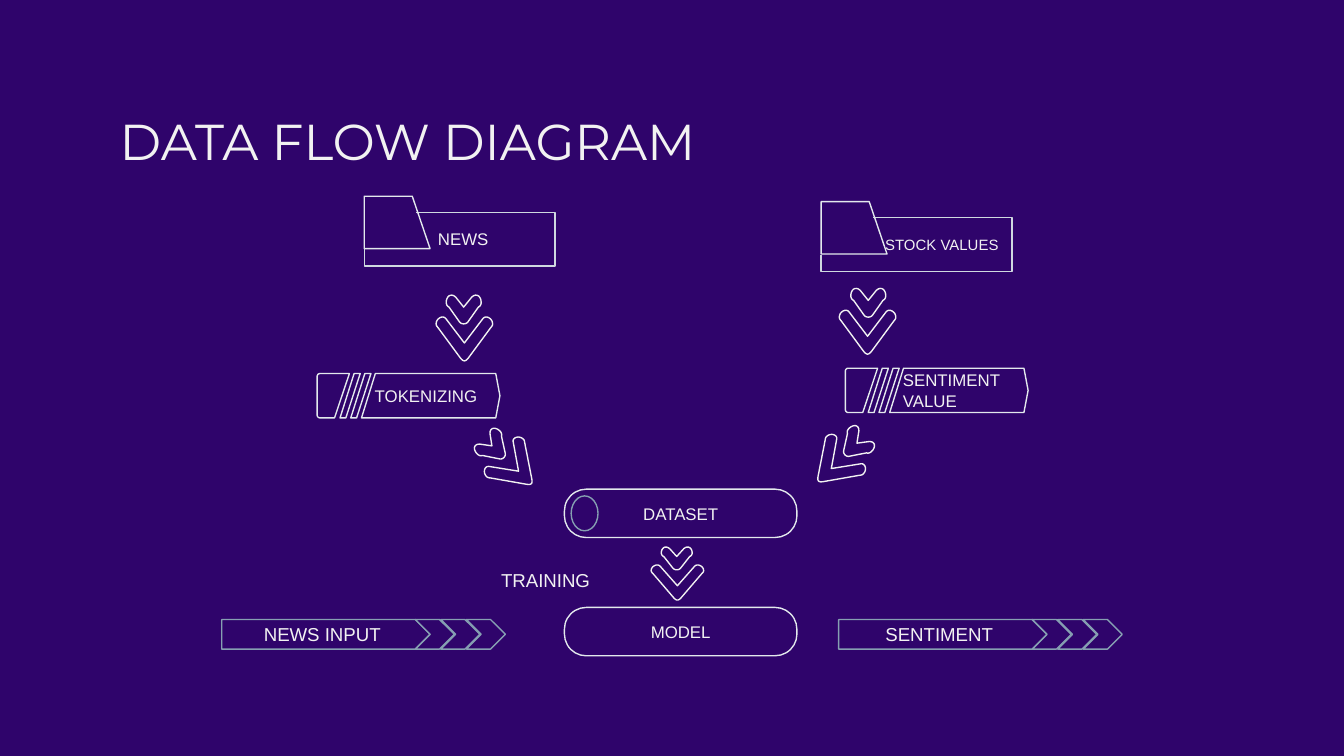
from pptx import Presentation
from pptx import util as u
from pptx.dml.color import RGBColor
from pptx.enum import shapes, text

THEME = {
    "background": "2F046B", "text": "F2F2F2", "arrow": "F2F2F2",
    "outline": "E3E9ED", "folder": "CFD9E0", "accent": "869FB2",
    "font": "Arial", "title_font": "Montserrat",
    "title": 27, "label": 9, "small": 8, "large": 10, "line": 0.75,
}
SHAPE = shapes.MSO_SHAPE
ALIGN = text.PP_ALIGN
ANCHOR = text.MSO_ANCHOR


def write(sp, words, size="label", font="font", align=ALIGN.CENTER,
          anchor=ANCHOR.MIDDLE, spacing=None, left=0.1):
    tf = sp.text_frame
    tf.word_wrap = True
    tf.auto_size = text.MSO_AUTO_SIZE.NONE
    tf.vertical_anchor = anchor
    tf.margin_left = u.Inches(left)
    tf.margin_right = tf.margin_top = tf.margin_bottom = u.Inches(0.1)
    p = tf.paragraphs[0]
    p.alignment = align
    p.line_spacing = spacing
    r = p.add_run()
    r.text = words
    r.font.size = u.Pt(THEME[size])
    r.font.name = THEME[font]
    r.font.color.rgb = RGBColor.from_string(THEME["text"])


def draw(geometry, box, line="outline", rotation=0, close=True):
    """Draw a preset, or a path of points and 6-number curves in a unit box."""
    left, top, width, height = (u.Inches(v) for v in box)
    if isinstance(geometry, list):
        points = [geometry[0]]
        for step in geometry[1:]:
            if len(step) == 2:
                points.append(step)
                continue
            knots = [points[-1], step[:2], step[2:4], step[4:]]
            for t in (i / 8 for i in range(1, 9)):
                weights = ((1 - t)**3, 3 * t * (1 - t)**2, 3 * t**2 * (1 - t), t**3)
                points.append(tuple(sum(w * k[axis] for w, k in zip(weights, knots))
                                    for axis in (0, 1)))
        corners = [(left + x * width, top + y * height) for x, y in points]
        builder = s.shapes.build_freeform(*corners[0])
        builder.add_line_segments(corners[1:], close=close)
        sp = builder.convert_to_shape()
        # Turn about the middle of the unit box, which the path may not fill
        if rotation == 90:
            shift = sp.left + sp.width // 2 - left - width // 2
            sp.left, sp.top = sp.left - shift, sp.top + shift
    else:
        sp = s.shapes.add_shape(geometry, left, top, width, height)
    sp.fill.background()
    sp.line.color.rgb = RGBColor.from_string(THEME[line])
    sp.line.width = u.Pt(THEME["line"])
    sp.shadow.inherit = False
    sp.rotation = rotation
    return sp


prs = Presentation()
prs.slide_width = u.Inches(10)
prs.slide_height = prs.slide_width * 9 // 16
s = prs.slides.add_slide(prs.slide_layouts[5])
s.background.fill.solid()
s.background.fill.fore_color.rgb = RGBColor.from_string(THEME["background"])

# Title
title = s.shapes.title
title.left, title.top = u.Inches(0.79), u.Inches(0.49)
title.width, title.height = u.Inches(8.43), u.Inches(0.63)
write(title, "DATA FLOW DIAGRAM", size="title", font="title_font",
      align=ALIGN.LEFT, anchor=ANCHOR.TOP, spacing=1.5)

# Rounded double arrows, outlined pointing right and then turned
arrow_paths = []
for end, arm_x, arm_y, inner, side_x, side_y, tip in (
        (0.21, 0.1, 0.17, 0.62, 0.29, 0.03, 0.43),
        (0.33, 0.17, 0.27, 0.48, 0.48, 0.08, 0.38)):
    arrow_paths.append([
        (inner, 0.5), (arm_x, arm_y),
        (0.02, 0.12, arm_x, 0, end, 0),
        (end + 0.04, 0, side_x - 0.03, 0.01, side_x, side_y),
        (0.94, tip), (1.02, tip + 0.05, 1.02, 0.95 - tip, 0.94, 1 - tip),
        (side_x, 1 - side_y),
        (side_x - 0.03, 0.99, end + 0.04, 1, end, 1),
        (arm_x, 1, 0.02, 0.88, arm_x, 1 - arm_y)])

for rotation, *boxes in (
        (90, (3.28, 2.3, 0.35, 0.42), (3.33, 2.16, 0.24, 0.26)),
        (90, (6.28, 2.25, 0.35, 0.42), (6.34, 2.11, 0.24, 0.26)),
        (44.4, (3.65, 3.29, 0.35, 0.39), (3.54, 3.21, 0.24, 0.24)),
        (135.6, (6.02, 3.27, 0.35, 0.39), (6.23, 3.19, 0.24, 0.24)),
        (90, (4.9, 4.13, 0.28, 0.39), (4.94, 4.03, 0.19, 0.23))):
    for path, box in zip(arrow_paths, boxes):
        draw(path, box, "arrow", rotation)

# Source folders
sheet = [(0, 0.69), (0, 1), (1, 1), (1, 0), (0.27, 0)]
tab = [(0, 0), (0, 1), (1, 1), (0.73, 0)]
for words, x, y, size, align, left in (
        ("NEWS", 2.71, 1.46, "label", ALIGN.CENTER, 0.15),
        ("STOCK VALUES", 6.11, 1.5, "small", ALIGN.RIGHT, 0.1)):
    folder = draw(sheet, (x, y + 0.12, 1.42, 0.4), "folder", close=False)
    write(folder, words, size=size, align=align, left=left)
    draw(tab, (x, y, 0.49, 0.39))

# Processing tags
body = [(0.1, 0), (0, 1), (0.97, 1), (1, 0.5), (0.97, 0)]
cap = [(1, 0), (0.09, 0), (0.04, 0, 0, 0.03, 0, 0.07),
       (0, 0.93), (0, 0.97, 0.04, 1, 0.09, 1), (0.54, 1)]
stripe = [(0.7, 0), (0, 1), (0.29, 1), (1, 0)]
for words, x, y in (("TOKENIZING", 2.36, 2.78), ("SENTIMENT VALUE", 6.29, 2.74)):
    write(draw(body, (x + 0.33, y, 1.03, 0.33)), words, align=ALIGN.LEFT)
    draw(cap, (x, y, 0.24, 0.33))
    for offset in (0.17, 0.25):
        draw(stripe, (x + offset, y, 0.15, 0.33))

# Dataset and model
for words, y in (("DATASET", 3.64), ("MODEL", 4.52)):
    pill = draw(SHAPE.ROUNDED_RECTANGLE, (4.2, y, 1.73, 0.36))
    pill.adjustments[0] = 0.45
    write(pill, words)
draw(SHAPE.OVAL, (4.25, 3.69, 0.2, 0.26), "accent")

# Input and output arrows
for words, x in (("NEWS INPUT", 1.65), ("SENTIMENT", 6.24)):
    write(draw(SHAPE.PENTAGON, (x, 4.61, 1.55, 0.22), "accent"), words, size="large")
    for i in range(3):
        draw(SHAPE.CHEVRON, (x + 1.44 + 0.19 * i, 4.61, 0.29, 0.22), "accent")

# Training label
label = s.shapes.add_textbox(u.Inches(3.63), u.Inches(4.13),
                             u.Inches(1.11), u.Inches(0.37))
write(label, "TRAINING", size="large", align=ALIGN.LEFT, anchor=ANCHOR.TOP)

prs.save("out.pptx")
